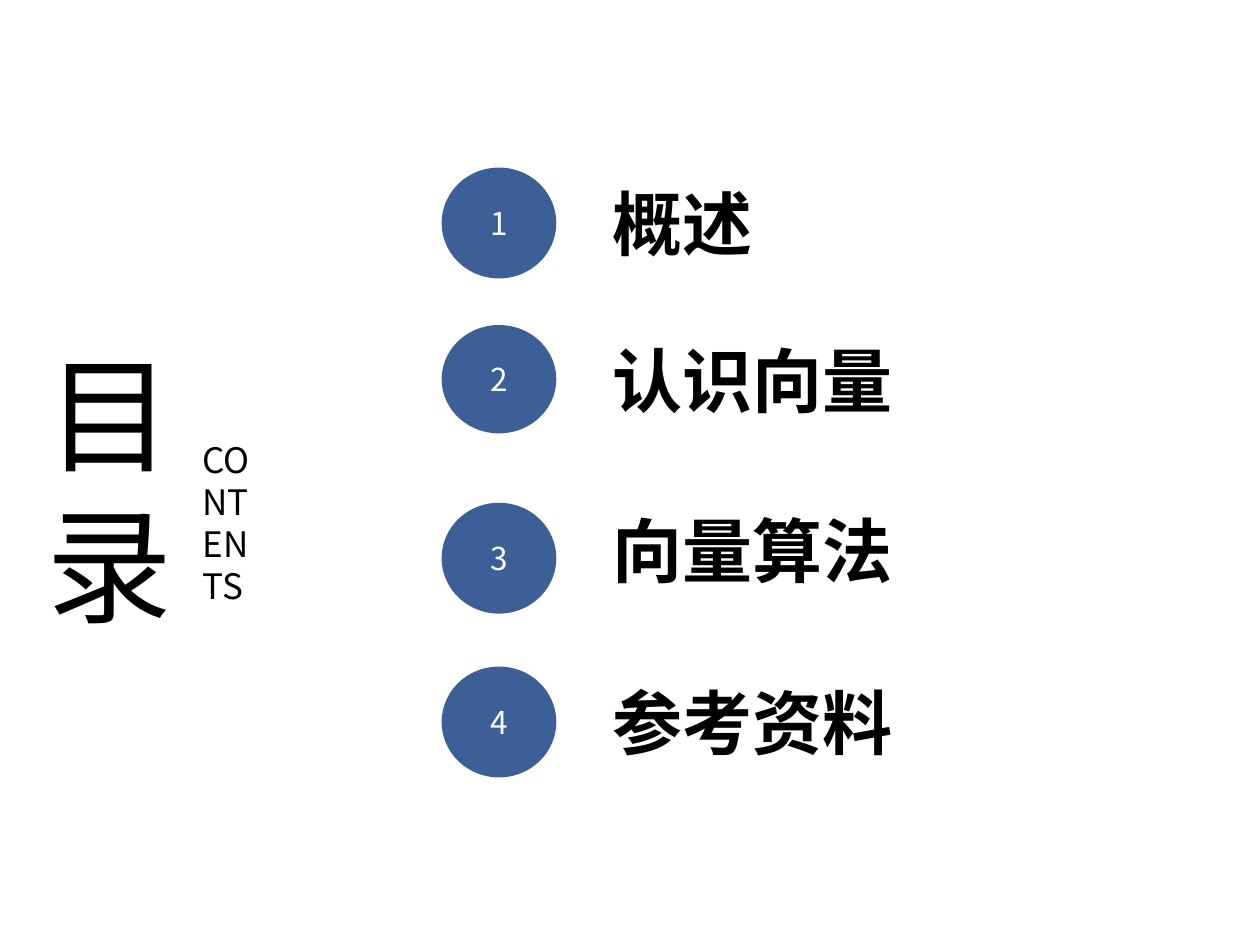
from pptx import Presentation
from pptx.dml.color import RGBColor
from pptx.enum.shapes import MSO_SHAPE as Shape
from pptx.enum.text import MSO_ANCHOR as Anchor, PP_ALIGN as Align
from pptx.oxml.ns import qn
from pptx.util import Inches, Pt
from lxml.etree import SubElement

COLORS = {"ink": "000000", "badge": "3C5F97", "number": "FFFFFF"}
FONT = "Noto Sans CJK SC"
CELL = Inches(0.1)  # the slide is a grid of 100 columns and 75 rows
COLUMNS, ROWS = 100, 75

# Title, top row of its badge, badge height, top row of its title
ENTRIES = [
    ("概述", 13.3, 8.8, 13.8),
    ("认识向量", 25.8, 8.6, 26.3),
    ("向量算法", 39.9, 8.8, 39.8),
    ("参考资料", 52.9, 8.8, 53.4),
]


def cells(*counts):
    return [round(count * CELL) for count in counts]


def write(frame, text, size, color, align=Align.LEFT, bold=False):
    """Fill a text frame with one paragraph at 1.2 line height."""
    frame.word_wrap = True
    para = frame.paragraphs[0]
    para.text = text
    para.alignment = align
    para.line_spacing = Pt(size * 1.2)
    font = para.runs[0].font
    font.size = Pt(size)
    font.bold = bold
    font.name = FONT
    font.color.rgb = RGBColor.from_string(COLORS[color])
    SubElement(para.runs[0]._r.rPr, qn("a:ea")).set("typeface", FONT)


def add_text(page, box, text, size, **style):
    frame = page.shapes.add_textbox(*cells(*box)).text_frame
    write(frame, text, size, "ink", **style)


def add_badge(page, box, number):
    badge = page.shapes.add_shape(Shape.OVAL, *cells(*box))
    badge.shadow.inherit = False
    badge.fill.solid()
    badge.fill.fore_color.rgb = RGBColor.from_string(COLORS["badge"])
    badge.line.fill.background()
    badge.text_frame.vertical_anchor = Anchor.MIDDLE
    write(badge.text_frame, str(number), 18, "number", Align.CENTER)


def add_heading(page, left, top):
    """Stack the heading and its English subtitle, broken by narrow boxes."""
    add_text(page, (left + 12.4, top + 8.1, 6, 18.2), "CONTENTS", 20)
    add_text(page, (left, top, 11.5, 28), "目录", 72, align=Align.CENTER)


def add_entries(page, left):
    for number, (title, badge_top, height, title_top) in enumerate(ENTRIES, 1):
        add_text(page, (left + 12.6, title_top, 39.4, 7.7), title, 40, bold=True)
        add_badge(page, (left, badge_top, 9.1, height), number)


def main():
    deck = Presentation()
    deck.slide_width, deck.slide_height = cells(COLUMNS, ROWS)
    page = deck.slides.add_slide(deck.slide_layouts[6])
    add_heading(page, left=2.7, top=26.2)
    add_entries(page, left=35.05)
    deck.save("out.pptx")


if __name__ == "__main__":
    main()
